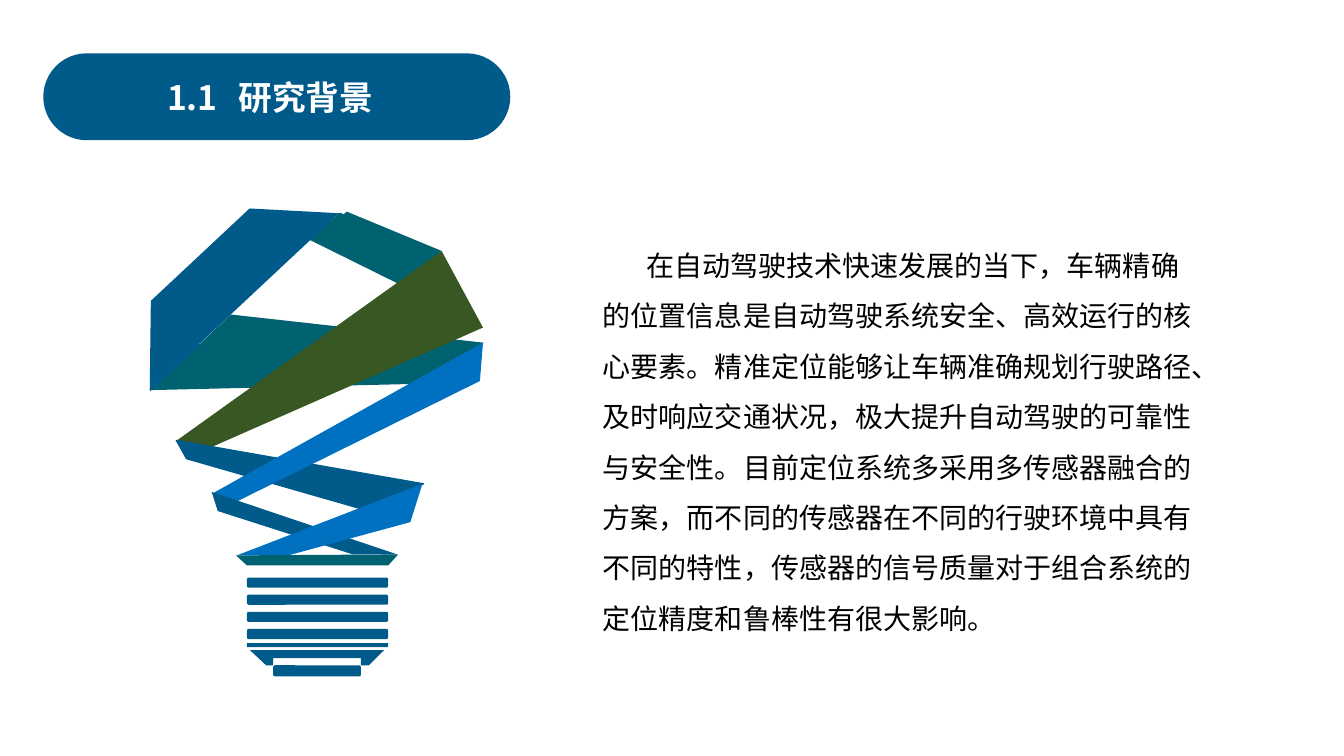
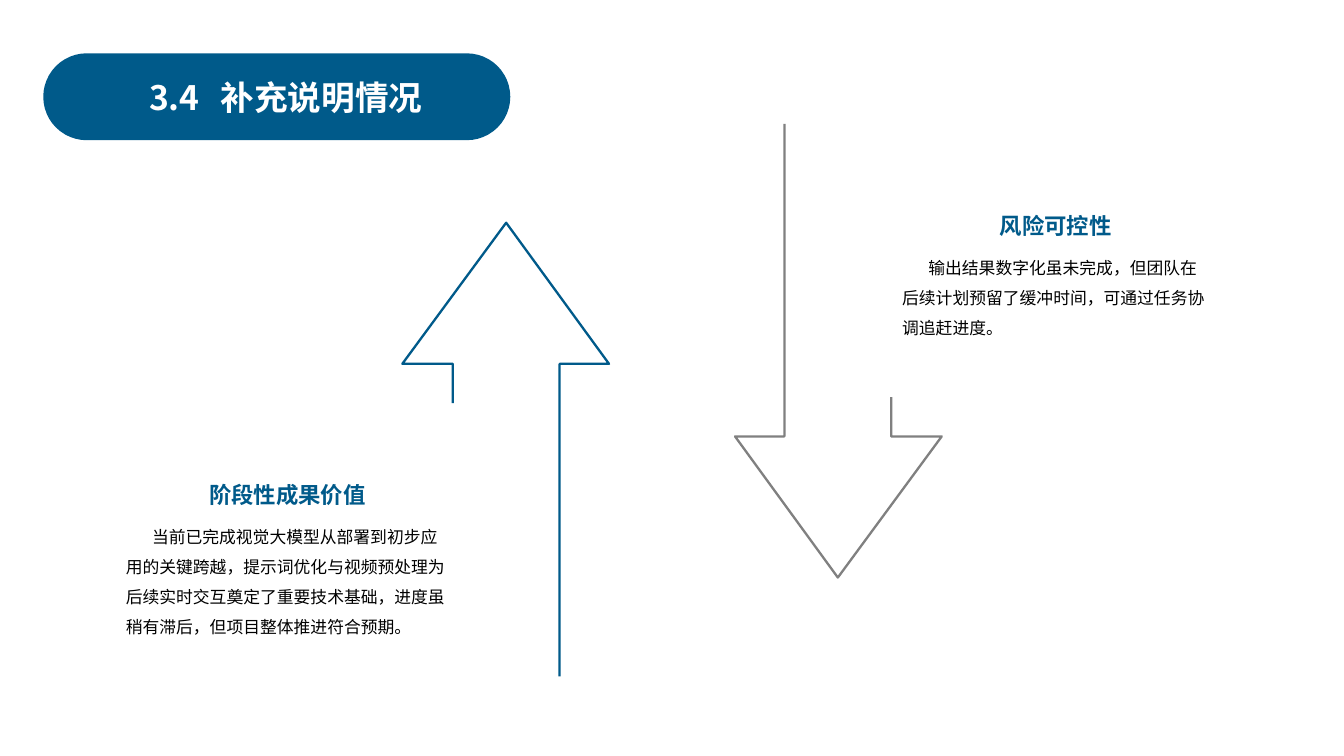
from dataclasses import dataclass
from typing import Any, Optional

import lxml.etree
import pptx
import pptx.dml.color
import pptx.enum.shapes
import pptx.enum.text
import pptx.oxml.ns
import pptx.util

Inches = pptx.util.Inches
Preset = pptx.enum.shapes.MSO_SHAPE
Align = pptx.enum.text.PP_ALIGN
qn = pptx.oxml.ns.qn
Point = tuple[float, float]


@dataclass(frozen=True)
class Theme:
    font: str = "Noto Sans CJK SC"
    navy: str = "005A8A"
    teal: str = "006171"
    olive: str = "385723"
    azure: str = "0070C0"
    gray: str = "808080"
    white: str = "FFFFFF"
    black: str = "000000"
    title_size: int = 24
    lead_size: int = 20
    heading_size: int = 16
    body_size: int = 12
    arrow_width: float = 1.63


THEME = Theme()


@dataclass(frozen=True)
class TextStyle:
    size: int
    color: str
    bold: bool = False
    align: Any = Align.LEFT
    line_spacing: float = 1.5
    space_after: int = 0
    indent: float = 0


TITLE = TextStyle(THEME.title_size, THEME.white, bold=True, line_spacing=1)
LEAD = TextStyle(THEME.lead_size, THEME.black, indent=0.43)
HEADING = TextStyle(THEME.heading_size, THEME.navy, bold=True, align=Align.CENTER, space_after=6)
BODY = TextStyle(THEME.body_size, THEME.black, indent=0.26)


@dataclass(frozen=True)
class Facet:
    color: str
    points: tuple[Point, ...]
    line_width: float = 0


@dataclass(frozen=True)
class Note:
    left: float
    top: float
    width: float
    height: float
    heading: str
    body: str


RIBBONS = (
    Facet(THEME.teal, ((3.37, 2.11), (4.39, 2.52), (3.94, 2.81), (3.07, 2.38))),
    Facet(THEME.teal, ((2.29, 3.12), (4.8, 3.4), (4.06, 3.81), (1.5, 3.87))),
    Facet(THEME.olive, ((4.38, 2.49), (4.79, 3.25), (2.11, 4.43), (1.74, 4.38))),
    Facet(THEME.navy, ((1.75, 4.37), (1.85, 4.55), (3.59, 5.05), (4.2, 4.8)), line_width=1),
    Facet(THEME.azure, ((4.79, 3.4), (4.76, 3.78), (2.36, 4.97), (2.1, 4.9))),
    Facet(THEME.navy, ((2.1, 4.88), (2.16, 5.07), (3.5, 5.5), (3.94, 5.5))),
    Facet(THEME.azure, ((4.19, 4.8), (4.07, 5.18), (2.86, 5.51), (2.35, 5.51))),
    Facet(THEME.teal, ((2.45, 5.61), (3.85, 5.61), (3.95, 5.5), (2.34, 5.51))),
)
SOCKET = Facet(THEME.navy, (
    (2.48, 6.45), (3.81, 6.45), (3.66, 6.6), (3.58, 6.6),
    (3.58, 6.53), (2.71, 6.53), (2.71, 6.6), (2.64, 6.6),
))
FOLDS = (
    Facet(THEME.teal, ((4.38, 2.49), (3.44, 2.1), (3.33, 2.19), (4.27, 2.52), (4.31, 2.54))),
    Facet(THEME.navy, ((1.91, 3.32), (1.49, 3.81), (1.49, 3.88), (1.98, 3.43))),
)

ARROW_WIDTH, ARROW_HEIGHT = 2.05, 4.5
UP_ARROW: tuple[Point, ...] = (
    (1.56, 4.5), (1.56, 1.4), (2.05, 1.4), (1.03, 0), (0, 1.4), (0.5, 1.4), (0.5, 1.79),
)
DOWN_ARROW = tuple((ARROW_WIDTH - x, ARROW_HEIGHT - y) for x, y in UP_ARROW)

BACKGROUND_TEXT = (
    "在自动驾驶技术快速发展的当下，车辆精确的位置信息是自动驾驶系统安全、高效运行的核心要素。"
    "精准定位能够让车辆准确规划行驶路径、及时响应交通状况，极大提升自动驾驶的可靠性与安全性。"
    "目前定位系统多采用多传感器融合的方案，而不同的传感器在不同的行驶环境中具有不同的特性，"
    "传感器的信号质量对于组合系统的定位精度和鲁棒性有很大影响。"
)
NOTES = (
    Note(1.15, 4.59, 3.4, 1.77, "阶段性成果价值",
         "当前已完成视觉大模型从部署到初步应用的关键跨越，提示词优化与视频预处理为后续实时交互"
         "奠定了重要技术基础，进度虽稍有滞后，但项目整体推进符合预期。"),
    Note(8.85, 1.92, 3.24, 1.46, "风险可控性",
         "输出结果数字化虽未完成，但团队在后续计划预留了缓冲时间，可通过任务协调追赶进度。"),
)


def rgb(color: str) -> pptx.dml.color.RGBColor:
    return pptx.dml.color.RGBColor.from_string(color)


def paint(shape: Any, fill: Optional[str], line: Optional[str] = None, width: float = 0) -> None:
    shape.shadow.inherit = False
    for target, color in ((shape.fill, fill), (shape.line.fill, line)):
        if color is None:
            target.background()
        else:
            target.solid()
            target.fore_color.rgb = rgb(color)
    if line is not None:
        shape.line.width = pptx.util.Pt(width)


def add_preset(shapes: Any, preset: Any, left: float, top: float,
               width: float, height: float, color: str) -> Any:
    shape = shapes.add_shape(preset, Inches(left), Inches(top), Inches(width), Inches(height))
    paint(shape, color)
    return shape


def add_outline(shapes: Any, points: tuple[Point, ...], close: bool) -> Any:
    corners = [(Inches(x), Inches(y)) for x, y in points]
    builder = shapes.build_freeform(*corners[0])
    builder.add_line_segments(corners[1:], close=close)
    return builder.convert_to_shape()


def add_facet(shapes: Any, facet: Facet) -> None:
    line = facet.color if facet.line_width else None
    paint(add_outline(shapes, facet.points, close=True), facet.color, line, facet.line_width)


def style_paragraph(para: Any, style: TextStyle) -> None:
    para.alignment = style.align
    para.line_spacing = style.line_spacing
    para.space_after = pptx.util.Pt(style.space_after)
    if style.indent:
        para._p.get_or_add_pPr().set("indent", str(Inches(style.indent)))
    for span in para.runs:
        span.font.name = THEME.font
        span.font.size = pptx.util.Pt(style.size)
        span.font.bold = style.bold
        span.font.color.rgb = rgb(style.color)
        properties = span._r.get_or_add_rPr()
        properties.set("lang", "zh-CN")
        east_asian = lxml.etree.SubElement(properties, qn("a:ea"))
        east_asian.set("typeface", THEME.font)


def add_text(page: Any, left: float, top: float, width: float, height: float,
             items: list[tuple[str, TextStyle]]) -> Any:
    box = page.shapes.add_textbox(Inches(left), Inches(top), Inches(width), Inches(height))
    frame = box.text_frame
    frame.word_wrap = True
    frame.text = "\n".join(text for text, _ in items)
    for para, (_, style) in zip(frame.paragraphs, items):
        style_paragraph(para, style)
    return box


def add_title(page: Any, number: str, title: str, left: float) -> None:
    """Draw the section pill, with a tab stop between number and title."""
    pill = add_preset(page.shapes, Preset.ROUNDED_RECTANGLE, 0.45, 0.55, 4.59, 0.82, THEME.navy)
    pill.adjustments[0] = 0.5
    paint(pill, THEME.navy, THEME.navy, 3)
    box = add_text(page, left, 0.71, 3.2, 0.5, [(f"{number}\t{title}", TITLE)])
    properties = box.text_frame.paragraphs[0]._p.get_or_add_pPr()
    stops = lxml.etree.SubElement(properties, qn("a:tabLst"))
    lxml.etree.SubElement(stops, qn("a:tab"), pos=str(Inches(0.71)), algn="l")


def add_bulb(page: Any) -> None:
    shapes = page.shapes.add_group_shape().shapes
    for ribbon in RIBBONS:
        add_facet(shapes, ribbon)
    for row in range(4):
        add_preset(shapes, Preset.ROUNDED_RECTANGLE, 2.45, 5.73 + 0.17 * row, 1.4, 0.1, THEME.navy)
    add_preset(shapes, Preset.ROUNDED_RECTANGLE, 2.45, 6.38, 1.4, 0.04, THEME.navy)
    add_facet(shapes, SOCKET)
    add_preset(shapes, Preset.ROUNDED_RECTANGLE, 2.71, 6.6, 0.87, 0.11, THEME.navy)
    crown = add_preset(shapes, Preset.TRAPEZOID, 0.92, 2.44, 2.57, 0.64, THEME.navy)
    crown.adjustments[0] = 0.96
    crown.rotation = 316.9
    for fold in FOLDS:
        add_facet(shapes, fold)


def add_open_arrow(page: Any, points: tuple[Point, ...], left: float, top: float,
                   color: str) -> None:
    placed = tuple((left + x, top + y) for x, y in points)
    paint(add_outline(page.shapes, placed, close=False), None, color, THEME.arrow_width)


def build_background(page: Any) -> None:
    add_title(page, "1.1", "研究背景", 1.56)
    add_bulb(page)
    add_text(page, 5.88, 2.25, 6.08, 4.08, [(BACKGROUND_TEXT, LEAD)])


def build_supplement(page: Any) -> None:
    add_open_arrow(page, UP_ARROW, 3.99, 2.21, THEME.navy)
    add_open_arrow(page, DOWN_ARROW, 7.29, 1.23, THEME.gray)
    add_title(page, "3.4", "补充说明情况", 1.38)
    for note in NOTES:
        add_text(page, note.left, note.top, note.width, note.height,
                 [(note.heading, HEADING), (note.body, BODY)])


def main() -> None:
    deck = pptx.Presentation()
    deck.slide_width, deck.slide_height = Inches(13.33), Inches(7.5)
    for build in (build_background, build_supplement):
        build(deck.slides.add_slide(deck.slide_layouts[6]))
    deck.save("out.pptx")


if __name__ == "__main__":
    main()
